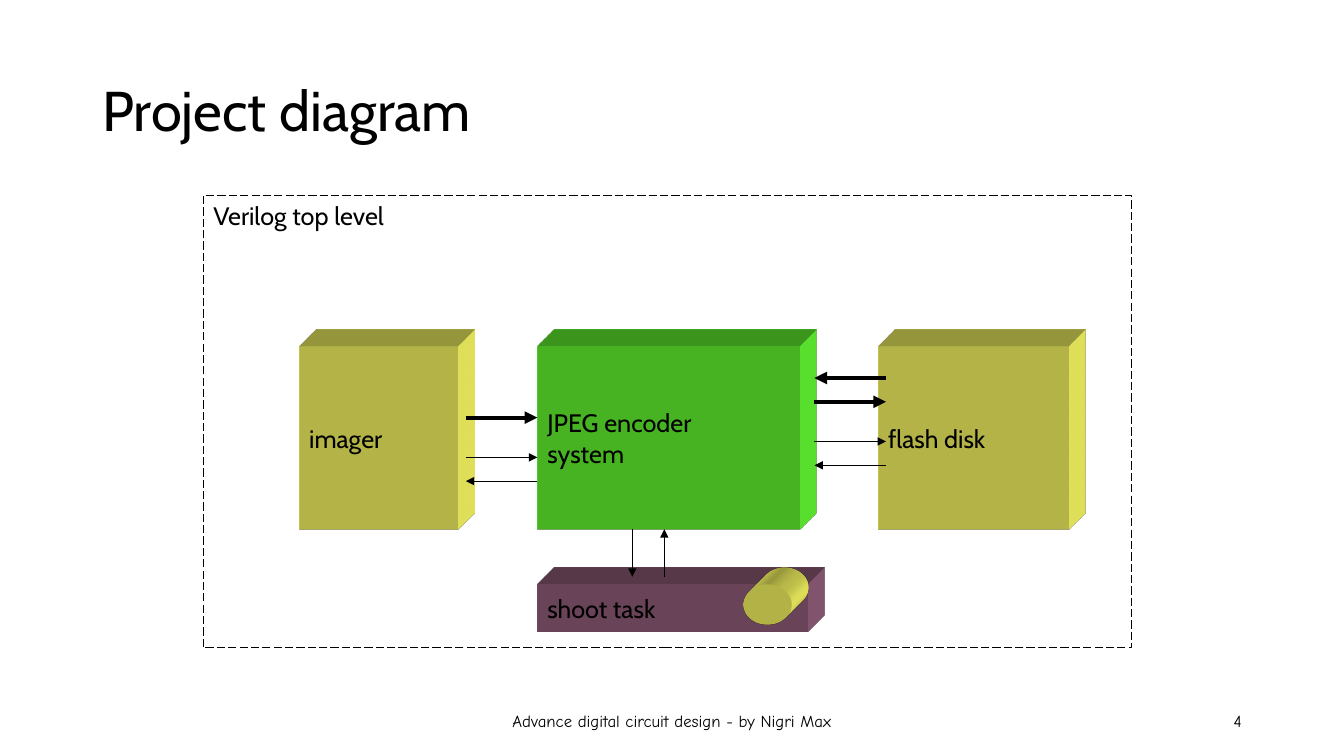
from pptx import Presentation
from pptx.dml.color import RGBColor
from pptx.enum.dml import MSO_LINE
from pptx.enum.shapes import MSO_CONNECTOR, MSO_SHAPE
from pptx.enum.text import MSO_ANCHOR, PP_ALIGN
from pptx.oxml import parse_xml
from pptx.oxml.ns import nsdecls, qn
from pptx.util import Pt


def color(value):
    return RGBColor.from_string(value)


class Diagram:
    font = "Cabin"
    footer_font = "Comic Neue"
    ink = "000000"
    yellow = "FFFF66"
    green = "66FF33"
    purple = "96607D"

    def __init__(self, s):
        self.s = s

    def label(self, sp, text, size=18, font=None, align=PP_ALIGN.LEFT, anchor=MSO_ANCHOR.MIDDLE):
        tf = sp.text_frame
        tf.text = text
        tf.word_wrap = True
        tf.vertical_anchor = anchor
        for p in tf.paragraphs:
            p.alignment = align
            for r in p.runs:
                r.font.size = Pt(size)
                r.font.name = font or self.font
                r.font.color.rgb = color(self.ink)

    def title(self, text, *box):
        sp = self.s.shapes.title
        sp.left, sp.top, sp.width, sp.height = map(Pt, box)
        self.label(sp, text, 40)
        sp.text_frame.paragraphs[0].line_spacing = 0.9

    def footer(self, text, align, *box):
        sp = self.s.shapes.add_textbox(*map(Pt, box))
        self.label(sp, text, 12, self.footer_font, align)

    def frame(self, text, *box):
        sp = self.s.shapes.add_shape(MSO_SHAPE.RECTANGLE, *map(Pt, box))
        sp.shadow.inherit = False
        sp.fill.background()
        sp.line.color.rgb = color(self.ink)
        sp.line.width = Pt(0.75)
        sp.line.dash_style = MSO_LINE.LONG_DASH
        self.label(sp, text, anchor=MSO_ANCHOR.TOP)

    def block(self, text, fill, *box, kind=MSO_SHAPE.RECTANGLE):
        sp = self.s.shapes.add_shape(kind, *map(Pt, box))
        sp.shadow.inherit = False
        sp.fill.solid()
        sp.fill.fore_color.rgb = color(fill)
        sp.line.fill.background()
        self.extrude(sp, fill)
        if text:
            self.label(sp, text)

    def extrude(self, sp, fill):
        spPr = sp.element.spPr
        spPr.append(parse_xml(
            f'<a:scene3d {nsdecls("a")}><a:camera prst="legacyObliqueTopRight"/>'
            '<a:lightRig rig="legacyFlat3" dir="b"/></a:scene3d>'))
        spPr.append(parse_xml(
            f'<a:sp3d {nsdecls("a")} extrusionH="{Pt(34)}" prstMaterial="legacyMatte">'
            '<a:bevelT w="13500" h="13500" prst="angle"/>'
            '<a:bevelB w="13500" h="13500" prst="angle"/>'
            f'<a:extrusionClr><a:srgbClr val="{fill}"/></a:extrusionClr></a:sp3d>'))

    def arrow(self, x1, y1, x2, y2, width=0.75):
        c = self.s.shapes.add_connector(MSO_CONNECTOR.STRAIGHT, *map(Pt, (x1, y1, x2, y2)))
        c.line.color.rgb = color(self.ink)
        c.line.width = Pt(width)
        spPr = c.element.spPr
        spPr.find(qn("a:ln")).append(parse_xml(f'<a:tailEnd {nsdecls("a")} type="triangle"/>'))
        spPr.append(parse_xml(f'<a:effectLst {nsdecls("a")}/>'))


def main():
    prs = Presentation()
    prs.slide_width, prs.slide_height = Pt(960), Pt(540)
    s = prs.slides.add_slide(prs.slide_layouts[5])
    d = Diagram(s)

    d.footer("Advance digital circuit design - by Nigri Max", PP_ALIGN.CENTER, 318, 500.5, 324, 28.75)
    d.footer("4", PP_ALIGN.RIGHT, 678, 500.5, 216, 28.75)
    d.title("Project diagram", 66, 28.75, 828, 104.4)

    top, height = 247.7, 130.3
    bottom = top + height
    encoder_left = 383.8
    d.block("imager", d.yellow, 213.8, top, 113.2, height)
    d.block("flash disk", d.yellow, 627.3, top, 136, height)
    d.block("JPEG encoder\vsystem", d.green, encoder_left, top, 187.4, height)
    d.frame("Verilog top level", 145.4, 139.7, 663.2, 323.2)
    d.block("shoot task", d.purple, encoder_left, 417.5, 193, 34)
    d.block("", d.yellow, 531.4, 417.5, 34, 28.3, kind=MSO_SHAPE.OVAL)

    thin, thick = 0.75, 3
    d.arrow(451.7, bottom, 451.7, bottom + 34)
    d.arrow(474.5, bottom + 34, 474.5, bottom)

    imager_link = (332.8, encoder_left)
    disk_link = (581.8, 632.9)
    for (left, right), y, forward, width in (
        (imager_link, 343.7, False, thin),
        (imager_link, 326.7, True, thin),
        (imager_link, 298.3, True, thick),
        (disk_link, 332.4, False, thin),
        (disk_link, 315.3, True, thin),
        (disk_link, 287, True, thick),
        (disk_link, 270, False, thick),
    ):
        start, end = (left, right) if forward else (right, left)
        d.arrow(start, y, end, y, width)

    prs.save("out.pptx")


if __name__ == "__main__":
    main()
